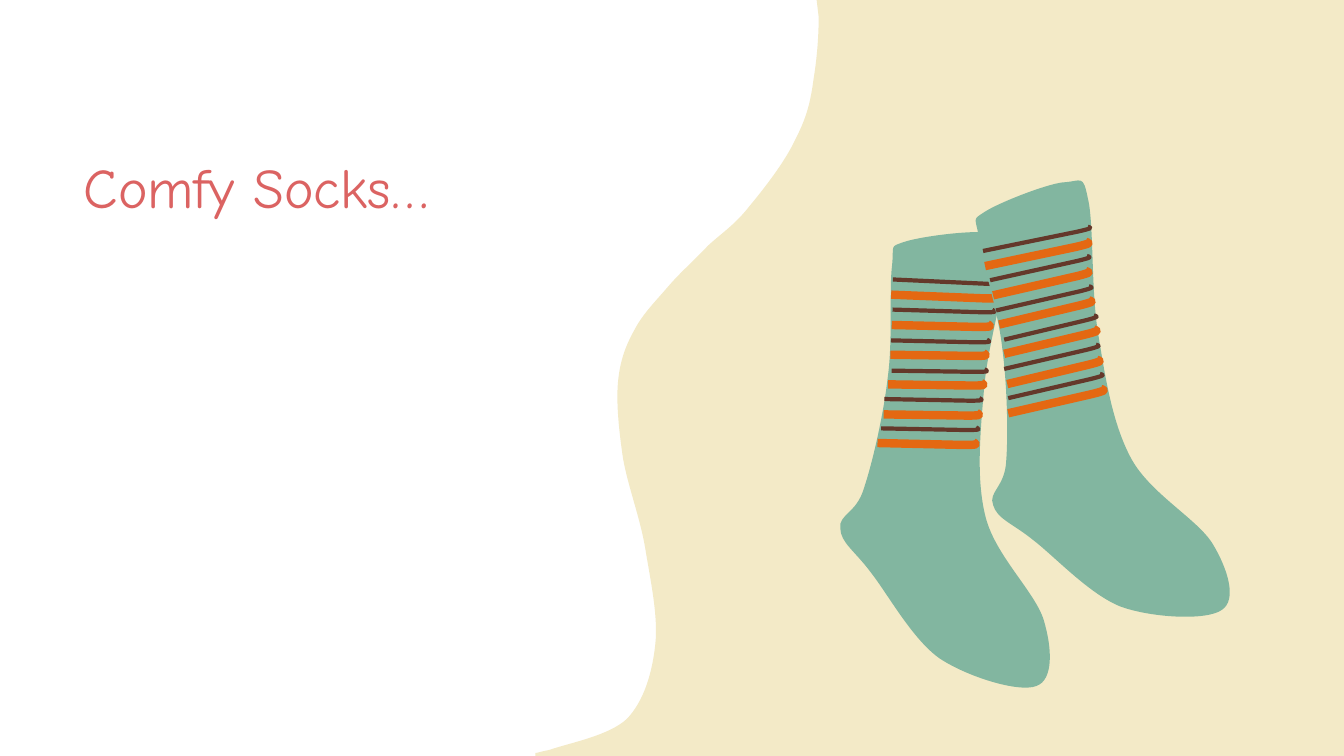
from dataclasses import dataclass
from typing import NamedTuple

from lxml.etree import SubElement
from pptx import Presentation
from pptx.dml.color import RGBColor as Rgb
from pptx.enum.text import MSO_ANCHOR as Anchor, MSO_AUTO_SIZE as AutoSize, PP_ALIGN as Align
from pptx.oxml.ns import qn
from pptx.util import Pt

PX = 9144  # EMU in one px, 100 px to the inch


class Box(NamedTuple):
    left: int
    top: int
    width: int
    height: int


@dataclass(frozen=True)
class Theme:
    sand: Rgb = Rgb.from_string("F3EAC7")
    sage: Rgb = Rgb.from_string("82B6A0")
    brown: Rgb = Rgb.from_string("64382A")
    orange: Rgb = Rgb.from_string("E46812")
    coral: Rgb = Rgb.from_string("DB6362")
    font: str = "Comic Neue"
    title_size: int = 40
    thin: int = 3
    thick: int = 6


THEME = Theme()
SLIDE = Box(0, 0, 1333, 750)
TITLE = Box(73, 141, 593, 157)
WAVE = Box(531, 0, 802, 750)
LEFT_SOCK = Box(839, 232, 252, 433)
RIGHT_SOCK = Box(968, 179, 252, 433)
LEFT_TILT = 14.2

# Outlines: a pair is a line to a point, six numbers are a cubic curve.
WAVE_OUTLINE = [
    (802, 0), (279, 0), (281, 17),
    (281, 38, 279, 60, 276, 78),
    (273, 101, 269, 117, 258, 138),
    (248, 160, 227, 187, 212, 205),
    (198, 223, 185, 231, 171, 244),
    (158, 258, 144, 270, 132, 284),
    (120, 298, 107, 311, 99, 326),
    (90, 342, 84, 357, 82, 379),
    (80, 400, 83, 428, 87, 455),
    (92, 483, 104, 514, 109, 544),
    (114, 575, 122, 611, 119, 639),
    (116, 667, 108, 695, 91, 713),
    (73, 730, 34, 737, 14, 744),
    (9, 745, 5, 746, 1, 747),
    (0, 747), (0, 750), (802, 750),
]
SOCK_OUTLINE = [
    (9, 31),
    (-5, 40, 0, 36, 3, 58),
    (6, 81, 22, 129, 26, 166),
    (31, 203, 32, 252, 30, 278),
    (29, 304, 12, 309, 17, 322),
    (21, 336, 36, 340, 57, 357),
    (79, 374, 113, 411, 144, 423),
    (175, 434, 229, 437, 244, 426),
    (259, 416, 250, 386, 235, 361),
    (220, 336, 173, 311, 154, 276),
    (135, 241, 128, 194, 121, 151),
    (114, 108, 117, 42, 111, 18),
    (106, -7, 105, 1, 86, 2),
    (69, 4, 23, 22, 9, 31),
]
# Left edge and width of each stripe, from the cuff down
STRIPES = [(7, 106), (9, 102), (14, 98), (17, 94), (20, 94), (23, 91),
           (28, 91), (28, 91), (28, 93), (31, 91), (32, 93), (32, 94)]
FIRST_STRIPE, LAST_STRIPE = 46, 207


def draw_outline(slide, box, outline, closed=True):
    """Span the box with a freeform, then give it the outline's lines and curves."""
    builder = slide.shapes.build_freeform(box.left, box.top, scale=PX)
    builder.add_line_segments([(box.left + box.width, box.top + box.height)], close=False)
    shape = builder.convert_to_shape()
    shape.shadow.inherit = False
    track = next(shape.element.iter(qn("a:path")))
    for step in list(track):
        track.remove(step)
    for index, segment in enumerate(outline):
        kind = "a:cubicBezTo" if len(segment) == 6 else "a:lnTo" if index else "a:moveTo"
        step = SubElement(track, qn(kind))
        for x, y in zip(segment[::2], segment[1::2]):
            SubElement(step, qn("a:pt"), x=str(round(x)), y=str(round(y)))
    if closed:
        SubElement(track, qn("a:close"))
    return shape


def draw_area(slide, box, outline, color):
    area = draw_outline(slide, box, outline)
    area.fill.solid()
    area.fill.fore_color.rgb = color
    area.line.fill.background()
    return area


def draw_stripe(slide, box, color, weight):
    """Draw a rising band that curls back at its right end."""
    width = box.width
    stripe = draw_outline(slide, box, [
        (0, 24), (0.88 * width, 5),
        (1.05 * width, 1, 1.01 * width, 1, 0.98 * width, 0),
    ], closed=False)
    stripe.fill.background()
    stripe.line.color.rgb = color
    stripe.line.width = Pt(weight)
    return stripe


def draw_sock(slide, box, tilt=0):
    parts = [draw_area(slide, box, SOCK_OUTLINE, THEME.sage)]
    pitch = (LAST_STRIPE - FIRST_STRIPE) / (len(STRIPES) - 1)
    looks = [(THEME.brown, THEME.thin), (THEME.orange, THEME.thick)]
    for index, (left, width) in enumerate(STRIPES):
        top = round(FIRST_STRIPE + index * pitch)
        band = Box(box.left + left, box.top + top, width, 24)
        parts.append(draw_stripe(slide, band, *looks[index % 2]))
    sock = slide.shapes.add_group_shape(parts)
    sock.rotation = tilt


def write_title(slide, box, words):
    title = slide.shapes.title
    title.left, title.top, title.width, title.height = (length * PX for length in box)
    frame = title.text_frame
    frame.word_wrap = True
    frame.auto_size = AutoSize.NONE
    frame.vertical_anchor = Anchor.TOP
    frame.margin_left = frame.margin_right = frame.margin_top = frame.margin_bottom = 10 * PX
    paragraph = frame.paragraphs[0]
    paragraph.alignment = Align.LEFT
    run = paragraph.add_run()
    run.text = words
    run.font.name = THEME.font
    run.font.size = Pt(THEME.title_size)
    run.font.color.rgb = THEME.coral


def build_socks_slide(deck):
    slide = deck.slides.add_slide(deck.slide_layouts.get_by_name("Title Only"))
    draw_area(slide, WAVE, WAVE_OUTLINE, THEME.sand)
    write_title(slide, TITLE, "Comfy Socks…")
    draw_sock(slide, LEFT_SOCK, LEFT_TILT)
    draw_sock(slide, RIGHT_SOCK)


def main():
    deck = Presentation()
    deck.slide_width, deck.slide_height = SLIDE.width * PX, SLIDE.height * PX
    build_socks_slide(deck)
    deck.save("out.pptx")


if __name__ == "__main__":
    main()
